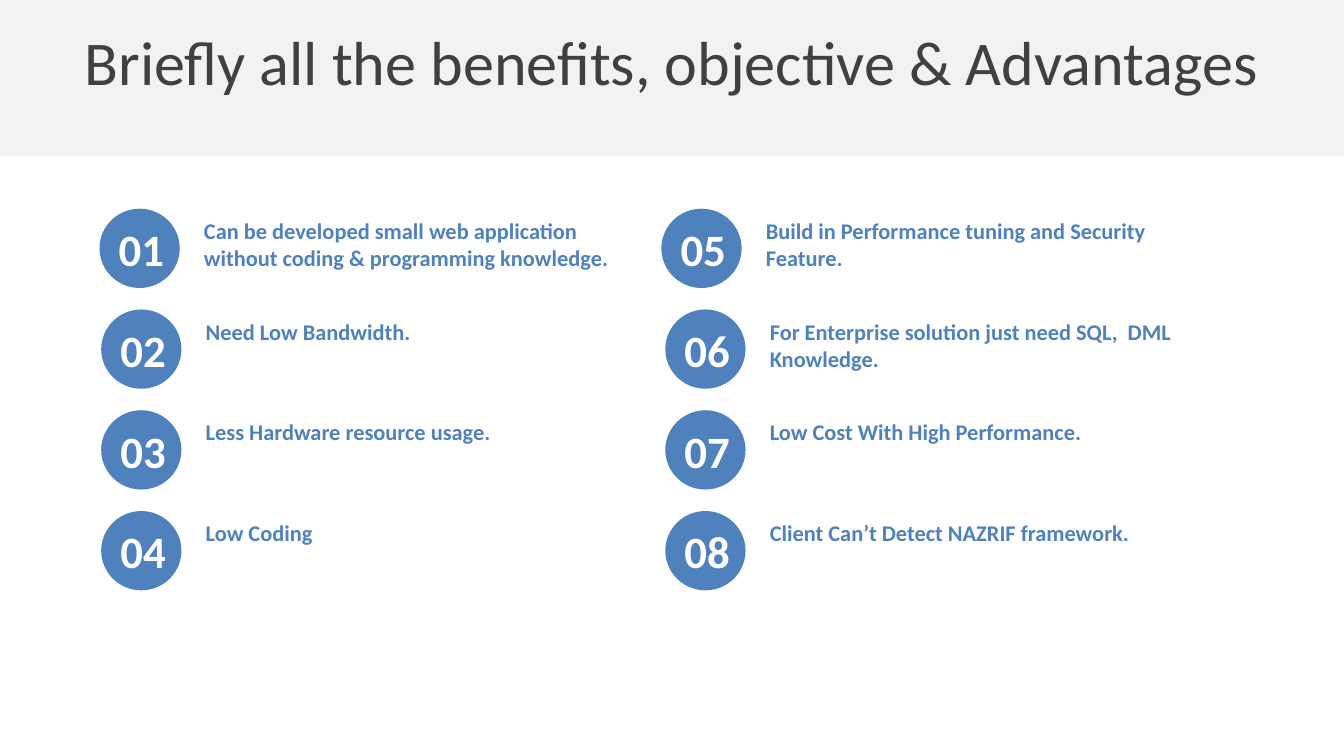
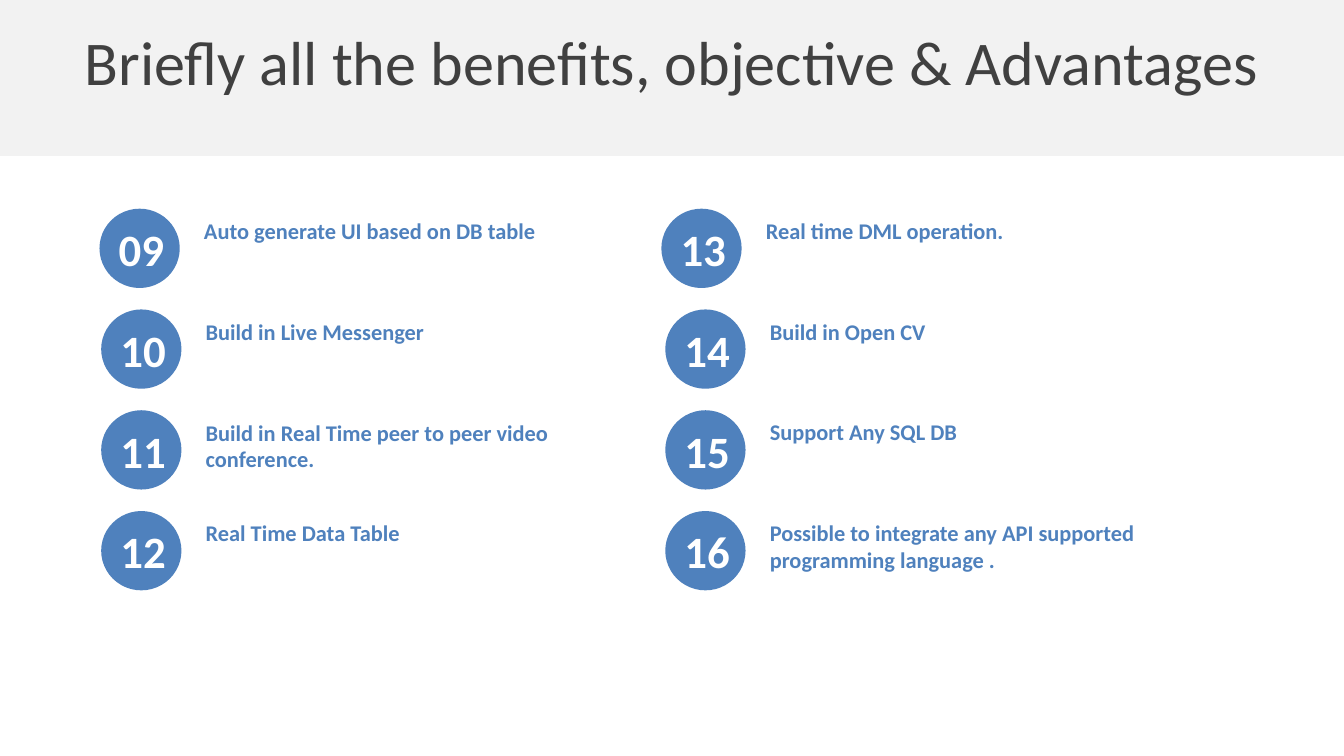
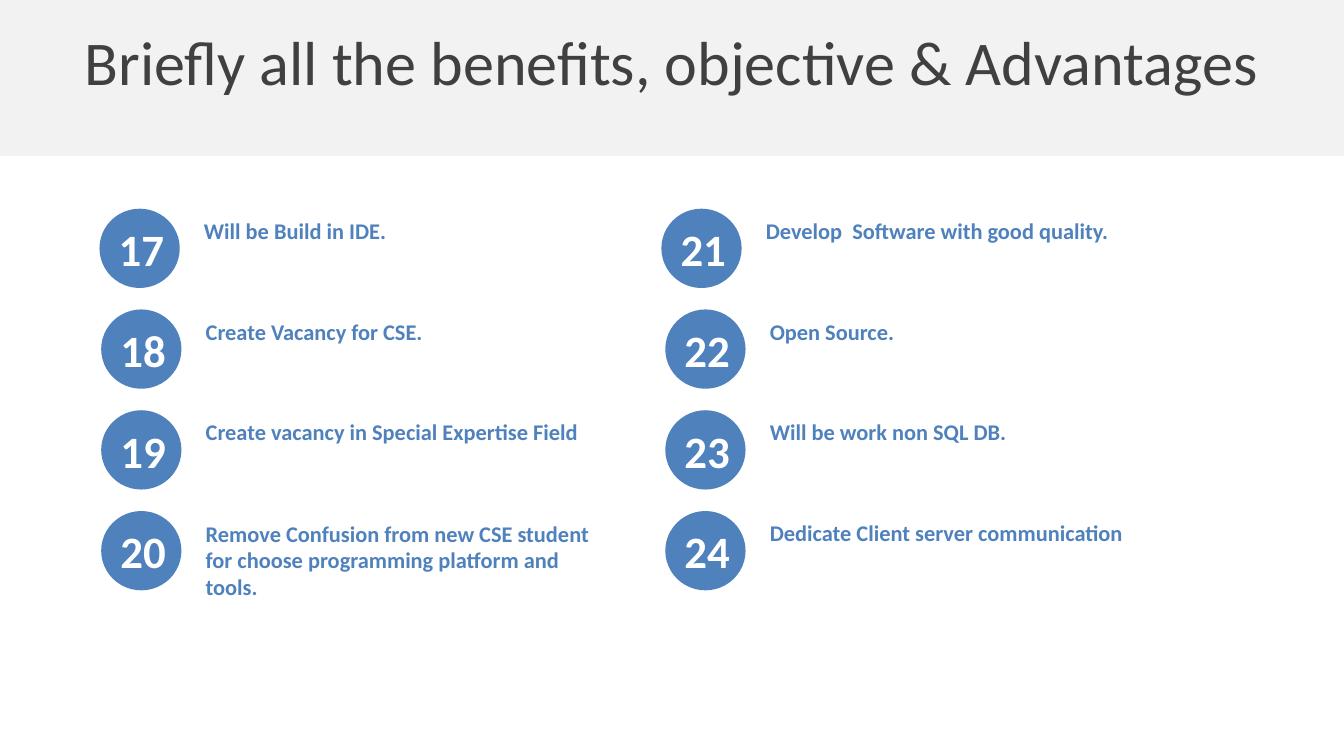
from pptx import Presentation
from pptx.dml.color import RGBColor
from pptx.enum import shapes, text
from pptx.util import Pt

TITLE = "Briefly all the benefits, objective & Advantages"
BENEFITS = [
    [
        ("Can be developed small web application without coding & programming knowledge.", 2),
        ("Need Low Bandwidth.", 1),
        ("Less Hardware resource usage.", 1),
        ("Low Coding", 1),
        ("Build in Performance tuning and Security Feature.", 2),
        ("For Enterprise solution just need SQL,  DML Knowledge.", 2),
        ("Low Cost With High Performance.", 1),
        ("Client Can’t Detect NAZRIF framework.", 1),
    ],
    [
        ("Auto generate UI based on DB table", 1),
        ("Build in Live Messenger", 1),
        ("Build in Real Time peer to peer video conference.", 2),
        ("Real Time Data Table", 1),
        ("Real time DML operation.", 1),
        ("Build in Open CV", 1),
        ("Support Any SQL DB", 1),
        ("Possible to integrate any API supported programming language .", 2),
    ],
    [
        ("Will be Build in IDE.", 1),
        ("Create Vacancy for CSE.", 1),
        ("Create vacancy in Special Expertise Field", 1),
        ("Remove Confusion from new CSE student for choose programming platform and tools.", 3),
        ("Develop  Software with good quality.", 1),
        ("Open Source.", 1),
        ("Will be work non SQL DB.", 1),
        ("Dedicate Client server communication", 1),
    ],
]

BLUE, WHITE, BAND_GREY, TITLE_GREY = "4F81BD", "FFFFFF", "F2F2F2", "404040"
TITLE_FONT = {"name": "Calibri", "size": Pt(33.3), "bold": False}
NUMBER_FONT = {"name": "Calibri", "size": Pt(24), "bold": True}
BENEFIT_FONT = {"name": "Calibri", "size": Pt(12), "bold": True}

SLIDE_WIDTH, SLIDE_HEIGHT = 720, 405
ROWS = 4
ROW_TOP, ROW_STEP = 111.8, 54
COLUMNS = [{"left": 54.2, "first_row_shift": -0.9}, {"left": 356.4, "first_row_shift": -2.1}]
LINE_HEIGHT, FIRST_LINE_HEIGHT = 14.6, 21.8


def color(value):
    return RGBColor.from_string(value)


def points(*lengths):
    return [Pt(length) for length in lengths]


def apply(target, values):
    for name, value in values.items():
        setattr(target, name, value)


def write(shape, content, font, font_color, **frame_values):
    frame = shape.text_frame
    frame.text = content
    apply(frame, {"word_wrap": True, "vertical_anchor": text.MSO_ANCHOR.MIDDLE, **frame_values})
    paragraph = frame.paragraphs[0]
    run_font = paragraph.runs[0].font
    apply(run_font, font)
    run_font.color.rgb = color(font_color)
    return paragraph


def add_filled(parent, kind, box, fill):
    shape = parent.add_shape(kind, *points(*box))
    shape.shadow.inherit = False
    shape.fill.solid()
    shape.fill.fore_color.rgb = color(fill)
    shape.line.fill.background()
    return shape


def add_band(slide):
    band = add_filled(slide.shapes, shapes.MSO_SHAPE.RECTANGLE, (0, 0, SLIDE_WIDTH, 83.5), BAND_GREY)
    band.element.xpath("./p:nvSpPr/p:cNvPr")[0].set("id", "20")
    slide.slide_layout.shapes.element.insert(2, band.element)


def add_title(slide):
    title = slide.shapes.title
    apply(title, dict(zip(("left", "top", "width", "height"), points(0, 10, SLIDE_WIDTH, 45.4))))
    paragraph = write(title, TITLE, TITLE_FONT, TITLE_GREY, auto_size=text.MSO_AUTO_SIZE.NONE)
    paragraph.alignment = text.PP_ALIGN.CENTER


def add_benefit(slide, number, benefit, lines, left, top):
    group = slide.shapes.add_group_shape().shapes
    grow = text.MSO_AUTO_SIZE.SHAPE_TO_FIT_TEXT
    add_filled(group, shapes.MSO_SHAPE.OVAL, (left, top, 43, 42.5), BLUE)
    number_box = group.add_textbox(*points(left + 3.2, top + 7, 47.5, 28.8))
    write(number_box, f"{number:02}", NUMBER_FONT, WHITE, auto_size=grow, margin_top=0, margin_bottom=0)
    height = FIRST_LINE_HEIGHT + (lines - 1) * LINE_HEIGHT
    benefit_box = group.add_textbox(*points(left + 48.9, top + 0.7, 231.1, height))
    write(benefit_box, benefit, BENEFIT_FONT, BLUE, auto_size=grow)


def main():
    presentation = Presentation()
    presentation.slide_width, presentation.slide_height = points(SLIDE_WIDTH, SLIDE_HEIGHT)
    layout = presentation.slide_layouts[5]
    number = 0
    for page, benefits in enumerate(BENEFITS):
        slide = presentation.slides.add_slide(layout)
        if page == 0:
            add_band(slide)
        add_title(slide)
        for index, (benefit, lines) in enumerate(benefits):
            number += 1
            column, row = divmod(index, ROWS)
            left = COLUMNS[column]["left"]
            if row == 0:
                left += COLUMNS[column]["first_row_shift"]
            add_benefit(slide, number, benefit, lines, left, ROW_TOP + row * ROW_STEP)
    presentation.save("out.pptx")


if __name__ == "__main__":
    main()
